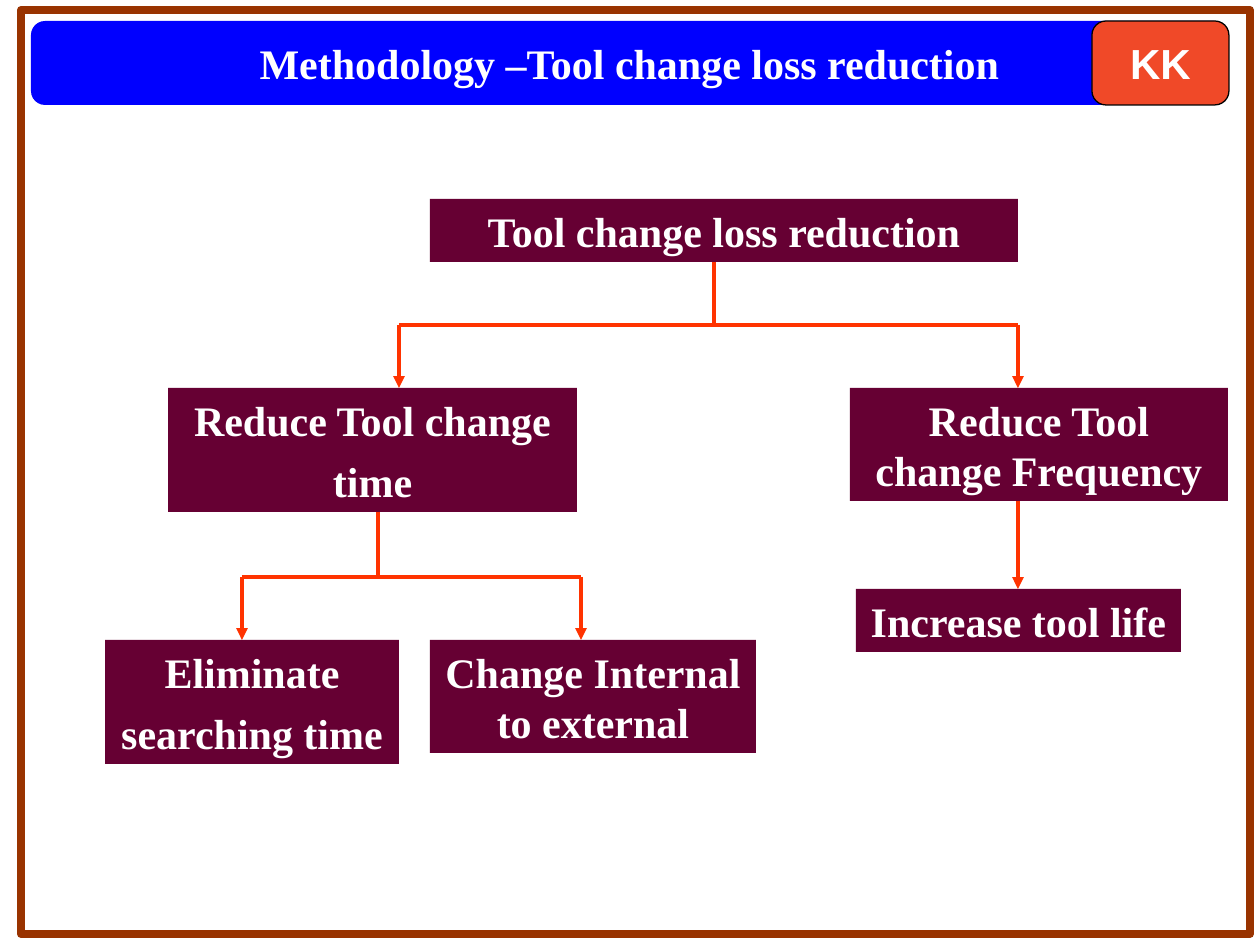
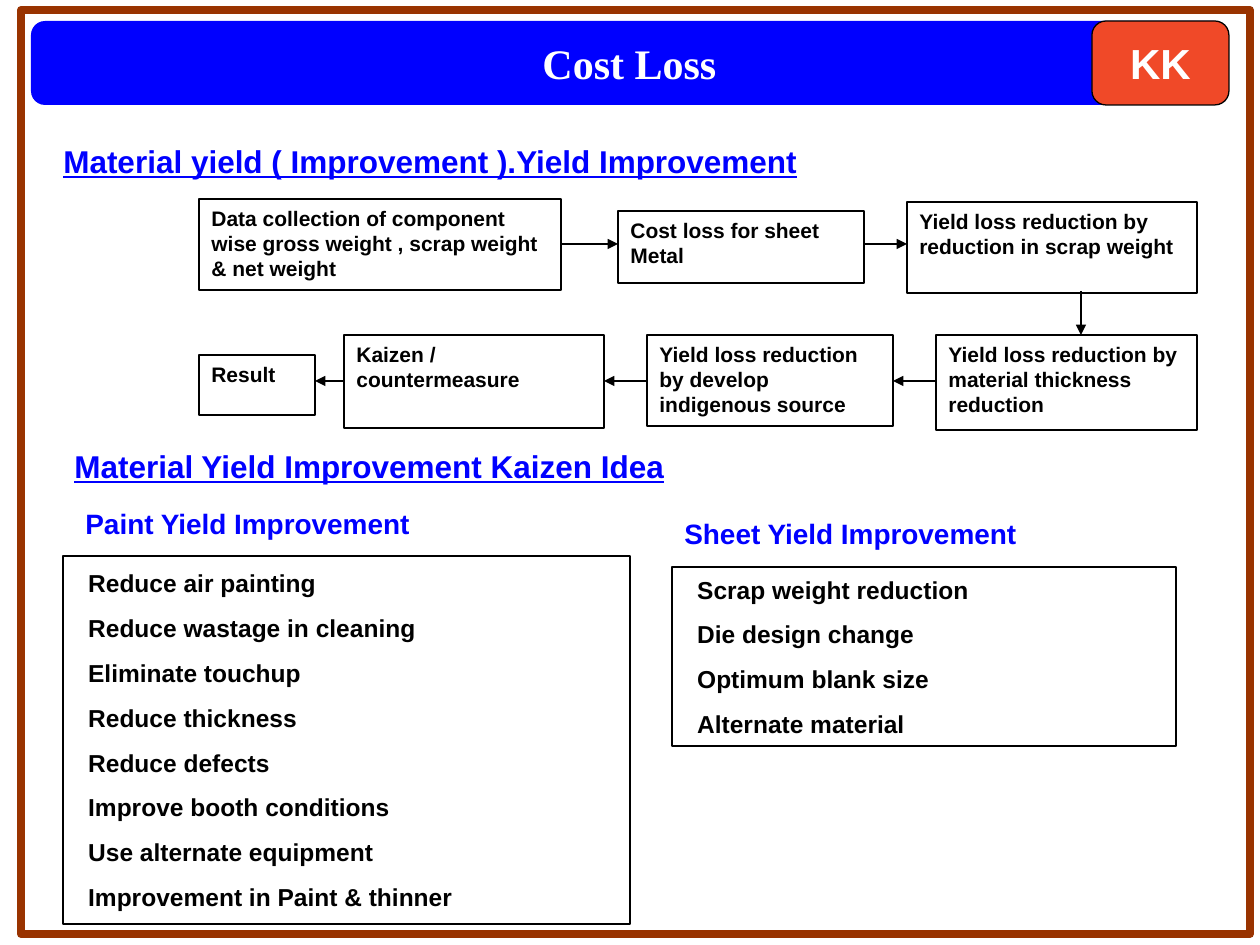
from itertools import pairwise

from lxml import etree
from pptx import Presentation
from pptx import util as u
from pptx.dml import color
from pptx.enum import shapes, text
from pptx.oxml import ns

# Shared look
PX_PER_INCH = 126
COLOURS = {
    "frame": "993300",
    "banner": "0000FF",
    "badge": "F04928",
    "node": "660033",
    "branch": "FF3300",
    "heading": "0000FF",
    "ink": "000000",
    "light": "FFFFFF",
}
SERIF, SANS = "Times New Roman", "Arial"
CENTRE, LEFT = text.PP_ALIGN.CENTER, text.PP_ALIGN.LEFT
TOP, MIDDLE = text.MSO_ANCHOR.TOP, text.MSO_ANCHOR.MIDDLE
RECT = shapes.MSO_SHAPE.RECTANGLE
ROUND = shapes.MSO_SHAPE.ROUNDED_RECTANGLE

# Each style: colour, font values, paragraph values, frame values
STYLES = {
    "title": ("light", {"name": SERIF, "size": u.Pt(24)},
              {"alignment": CENTRE}, {"vertical_anchor": MIDDLE}),
    "badge": ("light", {"name": SANS, "size": u.Pt(24)},
              {"alignment": CENTRE}, {"vertical_anchor": MIDDLE}),
    "node": ("light", {"name": SERIF, "size": u.Pt(24)},
             {"alignment": CENTRE, "space_before": u.Pt(6)}, {"vertical_anchor": TOP}),
    "step": ("ink", {"name": SANS, "size": u.Pt(12)},
             {"alignment": LEFT}, {"vertical_anchor": TOP}),
    "heading": ("heading", {"name": SANS, "size": u.Pt(18), "underline": True},
                {"alignment": LEFT}, {"vertical_anchor": TOP}),
    "subheading": ("heading", {"name": SANS, "size": u.Pt(16)},
                   {"alignment": LEFT}, {"vertical_anchor": TOP}),
    "list": ("ink", {"name": SANS, "size": u.Pt(14)},
             {"alignment": LEFT, "space_before": u.Pt(8.8)},
             {"vertical_anchor": MIDDLE, "margin_left": u.Inches(0.2),
              "margin_right": u.Inches(0.25)}),
}


def px(length):
    return u.Emu(round(length * u.Inches(1) / PX_PER_INCH))


def rgb(name):
    return color.RGBColor.from_string(COLOURS[name])


def apply(target, values):
    for name, value in values.items():
        setattr(target, name, value)


# Elements
def write(box, lines, style):
    colour, font, layout, frame_values = STYLES[style]
    frame = box.text_frame
    frame.word_wrap = True
    apply(frame, frame_values)
    for index, line in enumerate(lines):
        para = frame.add_paragraph() if index else frame.paragraphs[0]
        apply(para, layout)
        if index == 0:
            para.space_before = None
        span = para.add_run()
        span.text = line
        apply(span.font, {"bold": True, **font})
        span.font.color.rgb = rgb(colour)


def add_box(page, place, lines=(), style="step", kind=RECT, fill=None, line=None, width=0.75):
    box = page.shapes.add_shape(kind, *map(px, place))
    box.shadow.inherit = False
    if fill:
        box.fill.solid()
        box.fill.fore_color.rgb = rgb(fill)
    else:
        box.fill.background()
    if line:
        box.line.color.rgb = rgb(line)
        box.line.width = u.Pt(width)
    else:
        box.line.fill.background()
    if lines:
        write(box, lines, style)
    return box


def add_label(page, place, line, style):
    write(page.shapes.add_textbox(*map(px, place)), [line], style)


def add_line(page, start, end, colour, width, arrow=True):
    link = page.shapes.add_connector(shapes.MSO_CONNECTOR.STRAIGHT, *map(px, (*start, *end)))
    link.line.color.rgb = rgb(colour)
    link.line.width = u.Pt(width)
    if arrow:
        etree.SubElement(link.line._get_or_add_ln(), ns.qn("a:tailEnd"), type="triangle")
    etree.SubElement(link._element.spPr, ns.qn("a:effectLst"))


def add_branch(page, stem_x, top, bar_y, bottom, ends):
    """Draw a stem, a crossbar and one arrow down to each end."""
    add_line(page, (ends[0], bar_y), (ends[-1], bar_y), "branch", 2.25, arrow=False)
    add_line(page, (stem_x, top), (stem_x, bar_y), "branch", 2.25, arrow=False)
    for x in ends:
        add_line(page, (x, bar_y), (x, bottom), "branch", 2.25)


def add_page(deck, title):
    page = deck.slides.add_slide(deck.slide_layouts[6])
    add_box(page, (21, 10, 1229, 924), line="frame", width=4.5)
    add_box(page, (31, 21, 1197, 84), [title], "title", ROUND, fill="banner")
    add_box(page, (1092, 21, 137, 84), ["KK"], "badge", ROUND, fill="badge", line="ink")
    return page


# Slide 1: tree of reduction measures
def build_methodology(deck):
    page = add_page(deck, "Methodology –Tool change loss reduction")
    nodes = [
        ((430, 199, 588, 63), ["Tool change loss reduction"]),
        ((168, 388, 409, 124), ["Reduce Tool change", "time"]),
        ((850, 388, 378, 113), ["Reduce Tool change Frequency"]),
        ((105, 640, 294, 124), ["Eliminate", "searching time"]),
        ((430, 640, 326, 113), ["Change Internal to external"]),
        ((856, 589, 325, 63), ["Increase tool life"]),
    ]
    for place, lines in nodes:
        add_box(page, place, lines, "node", fill="node")
    add_branch(page, 714, 262, 325, 388, (399, 1018))
    add_branch(page, 378, 512, 577, 640, (242, 581))
    add_line(page, (1018, 501), (1018, 589), "branch", 2.25)


# Slide 2: yield process and improvement ideas
def build_cost_loss(deck):
    page = add_page(deck, "Cost Loss")

    add_label(page, (51, 136, 1081, 50),
              "Material yield ( Improvement ).Yield Improvement", "heading")
    top_row = [
        ((199, 199, 362, 91),
         "Data collection of component wise gross weight , scrap weight & net weight"),
        ((618, 211, 246, 72), "Cost loss for sheet Metal"),
        ((907, 202, 290, 91), "Yield loss reduction by reduction in scrap weight"),
    ]
    bottom_row = [
        ((199, 355, 116, 60), "Result"),
        ((344, 335, 260, 93), "Kaizen / countermeasure"),
        ((647, 335, 246, 91), "Yield loss reduction by develop indigenous source"),
        ((936, 335, 261, 95), "Yield loss reduction by material thickness reduction"),
    ]
    for row, y, rightward in ((top_row, 244, True), (bottom_row, 381, False)):
        for place, step in row:
            add_box(page, place, [step], "step", line="ink")
        for (before, _), (after, _) in pairwise(row):
            gap = [(before[0] + before[2], y), (after[0], y)]
            start, end = gap if rightward else reversed(gap)
            add_line(page, start, end, "ink", 0.75)
    add_line(page, (1081, 291), (1081, 335), "ink", 0.75)

    add_label(page, (62, 441, 1081, 50), "Material Yield Improvement Kaizen Idea", "heading")
    idea_lists = [
        ("Paint Yield Improvement", (73, 500, 599, 47), (63, 556, 567, 368),
         ["Reduce air painting", "Reduce wastage in cleaning", "Eliminate touchup",
          "Reduce thickness", "Reduce defects", "Improve booth conditions",
          "Use alternate equipment", "Improvement in Paint & thinner"]),
        ("Sheet Yield Improvement", (672, 510, 441, 47), (672, 567, 504, 179),
         ["Scrap weight reduction", "Die design change", "Optimum blank size",
          "Alternate material"]),
    ]
    for name, label_place, list_place, ideas in idea_lists:
        add_label(page, label_place, name, "subheading")
        add_box(page, list_place, ideas, "list", line="ink")


def main():
    deck = Presentation()
    deck.slide_width, deck.slide_height = px(1260), px(945)
    build_methodology(deck)
    build_cost_loss(deck)
    deck.save("out.pptx")


if __name__ == "__main__":
    main()
